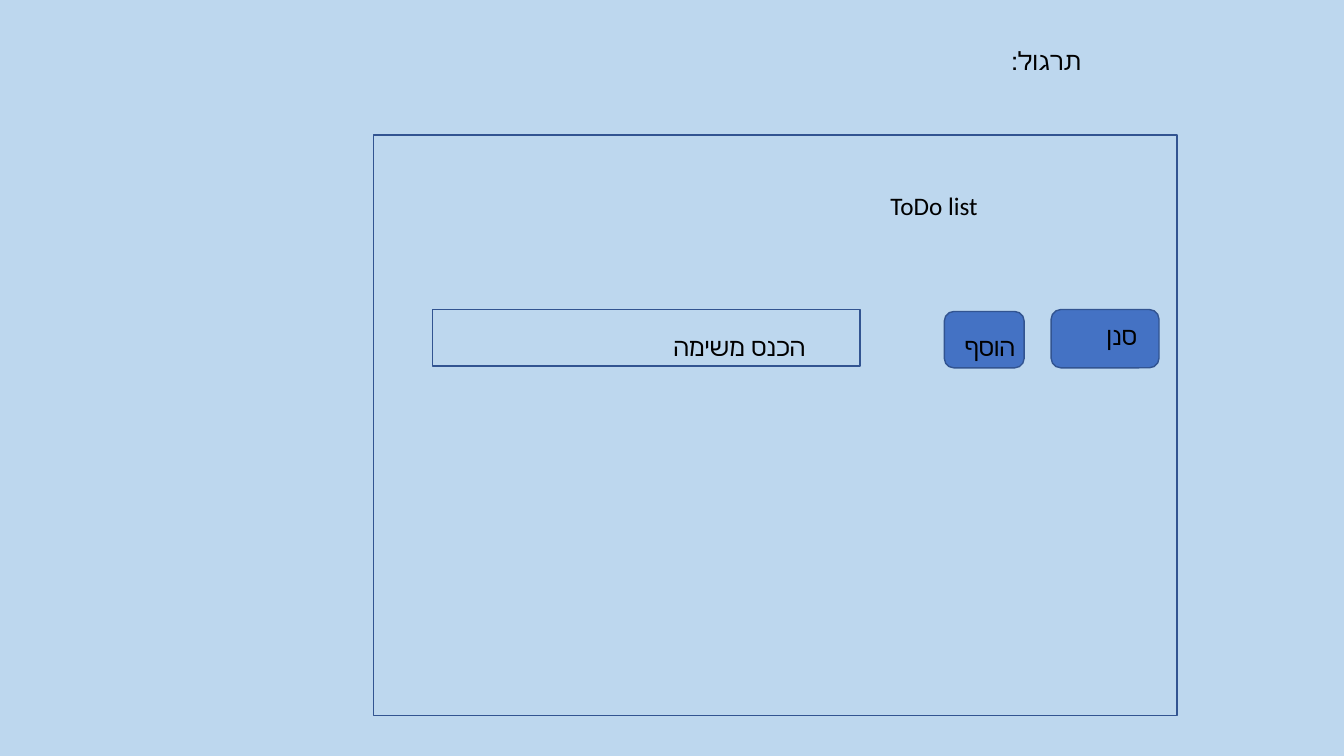
import pptx
import pptx.util
import pptx.dml.color
import pptx.enum.shapes
import pptx.enum.text

Cm = pptx.util.Cm
COLORS = {"background": "BDD7EE", "button": "4472C4", "outline": "325491", "text": "000000"}


def rgb(name):
    return pptx.dml.color.RGBColor.from_string(COLORS[name])


def add_label(text, *, left, top, width, size=18, font="Calibri", color="text"):
    label = slide.shapes.add_textbox(Cm(left), Cm(top), Cm(width), Cm(1.02))
    label.text_frame.word_wrap = True
    label.text_frame.auto_size = pptx.enum.text.MSO_AUTO_SIZE.SHAPE_TO_FIT_TEXT
    paragraph = label.text_frame.paragraphs[0]
    paragraph.alignment = pptx.enum.text.PP_ALIGN.RIGHT
    paragraph._p.get_or_add_pPr().set("rtl", "1")
    run = paragraph.add_run()
    run.text = text
    run.font.size = pptx.util.Pt(size)
    run.font.name = font
    run.font.color.rgb = rgb(color)


# Slide and background
presentation = pptx.Presentation()
presentation.slide_width = Cm(33.87)
presentation.slide_height = Cm(19.05)
slide = presentation.slides.add_slide(presentation.slide_layouts[6])
slide.background.fill.solid()
slide.background.fill.fore_color.rgb = rgb("background")

# App window, task field, add button and filter button
RECTANGLE = pptx.enum.shapes.MSO_SHAPE.RECTANGLE
ROUNDED = pptx.enum.shapes.MSO_SHAPE.ROUNDED_RECTANGLE
for outline, left, top, width, height in (
    (RECTANGLE, 9.42, 3.4, 20.24, 14.63),
    (RECTANGLE, 10.9, 7.8, 10.77, 1.42),
    (ROUNDED, 23.8, 7.85, 2.01, 1.42),
    (ROUNDED, 26.49, 7.8, 2.72, 1.47),
):
    control = slide.shapes.add_shape(outline, Cm(left), Cm(top), Cm(width), Cm(height))
    control.shadow.inherit = False
    control.line.color.rgb = rgb("outline")
    control.line.width = pptx.util.Pt(1)
    if outline == ROUNDED:
        control.fill.solid()
        control.fill.fore_color.rgb = rgb("button")
    else:
        control.fill.background()

# Headings and control labels
add_label("תרגול:", left=11.79, top=1.02, width=15.7)
add_label("ToDo list", left=15.21, top=4.67, width=9.68)
add_label("הכנס משימה", left=10.9, top=8.23, width=9.65)
add_label("הוסף", left=23.14, top=8.23, width=2.69)
add_label("סנן", left=26.21, top=7.95, width=2.69)

presentation.save("out.pptx")
